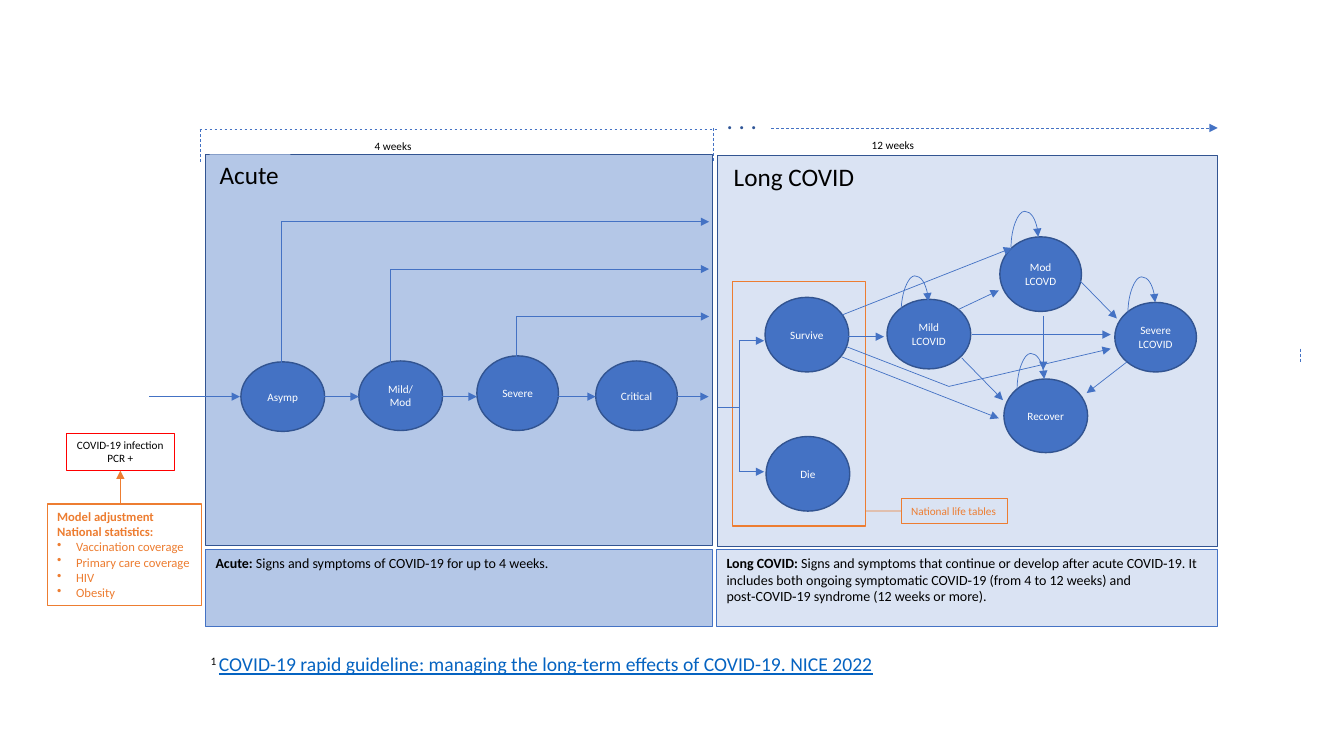
"""Build the acute and long COVID state-transition model slide."""
from lxml import etree
from pptx import Presentation
from pptx.dml.color import RGBColor
from pptx.enum import dml, shapes, text
from pptx.oxml import ns
from pptx.util import Pt

HUES = {"acute": "B4C7E7", "long": "DAE3F3", "blue": "4472C4", "edge": "325491",
        "dots": "2F5597", "red": "FF0000", "orange": "ED7D31", "link": "0563C1",
        "black": "000000", "white": "FFFFFF"}

PANELS = [((146.9, 110.2, 362.2, 279.4), "acute", "edge", 1),
          ((512.6, 110.9, 357.1, 279.4), "long", "edge", 1),
          ((523.4, 200.9, 95, 175), None, "orange", 1)]
TITLES = [("Acute", (149.8, 110.2, 57.6, 28.8), "acute"),
          ("Long COVID", (517, 111.6, 101.5, 28.8), "long")]
LABELS = [("4 weeks", (260.6, 95.8, 41, 17.3), 8, "black"),
          ("12 weeks", (615.6, 95, 45.4, 17.3), 8, "black"),
          (". . .", (511.9, 71.3, 36.7, 28.8), 18, "dots")]
NOTES = [("Acute: ", "Signs and symptoms of COVID‑19 for up to 4 weeks.",
          (146.9, 392.4, 362.2, 55.4), "acute"),
         ("Long COVID: ", "Signs and symptoms that continue or develop after acute "
          "COVID‑19. It includes both ongoing symptomatic COVID‑19 (from 4 to 12 "
          "weeks) and post‑COVID‑19 syndrome (12 weeks or more).",
          (511.9, 392.4, 357.8, 55.4), "long")]
HEADS = ["Model adjustment", "National statistics:"]
ITEMS = ["Vaccination coverage", "Primary care coverage", "HIV", "Obesity"]
SOURCE = ("1 ", "COVID-19 rapid guideline: managing the long-term effects of "
          "COVID-19. NICE 2022")

STATES = [(["Asymp"], 172.1, 258.5, 59.8, 49.7),
          (["Mild/", "Mod"], 256.3, 257.8, 59.8, 49.7),
          (["Severe"], 340.6, 254.2, 58.3, 53.3),
          (["Critical"], 425.5, 257.8, 58.3, 49.7),
          (["Survive"], 546.5, 212.4, 59.8, 53.3),
          (["Die"], 547.2, 311.8, 59.8, 53.3),
          (["Mild", "LCOVID"], 633.6, 213.8, 59.8, 49.7),
          (["Mod", "LCOVD"], 714.2, 169.2, 58.3, 53.3),
          (["Severe", "LCOVID"], 796.3, 216, 58.3, 49.7),
          (["Recover"], 717.1, 270.7, 59.8, 52.6)]
EXITS = [(201, 260, 158.4), (278.6, 260, 192.2), (368.6, 256, 226.1)]
CHAIN = [(106.6, 171.4), (226.1, 256.3), (311, 340.6), (395.3, 425.5), (483.8, 506.2)]
CHAIN_Y, EXIT_X = 283.3, 506.5
FORK_X, FORK_YS = 527.8, (243.4, 337)
ARROWS = [(601.9, 240.5, 631.4, 240.5), (601.2, 254.9, 713.5, 298.8),
          (600.5, 225.4, 722.9, 177.1), (694.1, 239, 793.4, 239),
          (805, 258.5, 776.2, 280.8), (677.5, 276.1, 793.4, 249.1),
          (686.9, 255.6, 716.4, 285.8), (684.7, 221, 713.5, 207.4),
          (771.8, 200.9, 797.8, 227.5), (745.2, 225.4, 745.2, 264.2)]
PLAIN = [(604.8, 247.7, 677.5, 275.9), (512.6, 290.9, FORK_X, 290.9),
         (FORK_X, FORK_YS[0], FORK_X, FORK_YS[1])]
DASHED = [(928.8, 249.1, 928.8, 259.2), (143.3, 92.2, 143.3, 115.9),
          (509.8, 91.4, 509.8, 115.2), (142.6, 92.2, 511.9, 92.2)]
LOOPS = [(643.7, 222.5), (722.2, 176.4), (805.7, 223.2), (726.5, 277.9)]
LOOP_W, LOOP_H, LOOP_ADJ = 7.2, 19.4, 353300

deck = Presentation()
deck.slide_width, deck.slide_height = Pt(960), Pt(540)
slide = deck.slides.add_slide(deck.slide_layouts[6])


def rgb(hue):
    return RGBColor.from_string(HUES[hue])


def style(font, size, hue, bold=None):
    font.name, font.size, font.bold = "Calibri", Pt(size), bold
    font.color.rgb = rgb(hue)


def box(spot, fill=None, edge=None, width=0.75, kind=shapes.MSO_SHAPE.RECTANGLE):
    shape = slide.shapes.add_shape(kind, *map(Pt, spot))
    shape.shadow.inherit = False
    if fill:
        shape.fill.solid()
        shape.fill.fore_color.rgb = rgb(fill)
    else:
        shape.fill.background()
    if edge:
        shape.line.color.rgb = rgb(edge)
        shape.line.width = Pt(width)
    else:
        shape.line.fill.background()
    return shape


def write(shape, lines, size, hue, mid=False, wrap=True, anchor="TOP"):
    frame = shape.text_frame
    frame.word_wrap = wrap
    frame.vertical_anchor = text.MSO_ANCHOR[anchor]
    for i, line in enumerate(lines):
        para = frame.paragraphs[0] if i == 0 else frame.add_paragraph()
        para.text = line
        para.alignment = text.PP_ALIGN.CENTER if mid else text.PP_ALIGN.LEFT
        style(para.font, size, hue)
    return frame.paragraphs


def wire(ends, head=True, dash=False, hue="blue", kind="STRAIGHT"):
    link = slide.shapes.add_connector(shapes.MSO_CONNECTOR[kind], *map(Pt, ends))
    link.line.color.rgb = rgb(hue)
    link.line.width = Pt(0.5)
    if dash:
        link.line.dash_style = dml.MSO_LINE.DASH
    props = link.element.spPr
    if head:
        etree.SubElement(props.find(ns.qn("a:ln")), ns.qn("a:tailEnd"), type="triangle")
    etree.SubElement(props, ns.qn("a:effectLst"))
    return link


def loop(x, y):
    left, top = x + (LOOP_H - LOOP_W) / 2, y - (LOOP_W + LOOP_H) / 2
    link = wire((left + LOOP_W, top + LOOP_H, left, top), kind="CURVE")
    props = link.element.spPr
    props.find(ns.qn("a:xfrm")).set("rot", "5400000")
    guides = props.find(ns.qn("a:prstGeom")).find(ns.qn("a:avLst"))
    etree.SubElement(guides, ns.qn("a:gd"), name="adj1", fmla=f"val {LOOP_ADJ}")


for spot, fill, edge, width in PANELS:
    box(spot, fill, edge, width)
for title, spot, fill in TITLES:
    write(box(spot, fill), [title], 18, "black", wrap=False)
for label, spot, size, hue in LABELS:
    write(slide.shapes.add_textbox(*map(Pt, spot)), [label], size, hue, wrap=False)
for term, body, spot, fill in NOTES:
    para = write(box(spot, fill, "blue"), [""], 10, "black")[0]
    for part, bold in ((term, True), (body, False)):
        run = para.add_run()
        run.text, run.font.bold = part, bold

for lines, *spot in STATES:
    state = box(spot, "blue", "edge", 1, shapes.MSO_SHAPE.OVAL)
    write(state, lines, 8, "white", mid=True, anchor="MIDDLE")

for x, low, high in EXITS:
    wire((x, low, x, high), head=False)
    wire((x, high, EXIT_X, high))
for start, end in CHAIN:
    wire((start, CHAIN_Y, end, CHAIN_Y))
for y in FORK_YS:
    wire((FORK_X, y, 545.8, y))
for ends in ARROWS:
    wire(ends)
for ends in PLAIN:
    wire(ends, head=False)
for ends in DASHED:
    wire(ends, head=False, dash=True)
wire((550.8, 91.4, 869.8, 91.4), dash=True)
for spot in LOOPS:
    loop(*spot)

case = box((47.5, 309.6, 77, 26.6), None, "red")
write(case, ["COVID-19 infection", "PCR +"], 8, "black", mid=True)
stats = box((33.8, 360, 110.2, 72.7), None, "orange")
for i, para in enumerate(write(stats, HEADS + ITEMS, 9, "orange")):
    para.font.bold = i < len(HEADS)
    if i >= len(HEADS):
        props = para._p.get_or_add_pPr()
        props.set("marL", str(Pt(13.5)))
        props.set("indent", str(-Pt(13.5)))
        mark = etree.Element(ns.qn("a:buChar"), char="•")
        props.insert(0, mark)
wire((86, 360, 86, 336.2), hue="orange").end_connect(case, 2)
table = box((643.7, 356.4, 76.3, 17.3), None, "orange")
write(table, ["National life tables"], 8, "orange", wrap=False)
wire((618.5, 365, 643.7, 365), head=False, hue="orange").end_connect(table, 1)

cite = slide.shapes.add_textbox(*map(Pt, (143.3, 462.2, 496.1, 24.5)))
para = write(cite, [""], 14, "black")[0]
mark, link = para.add_run(), para.add_run()
mark.text, link.text = SOURCE
mark.font._element.set("baseline", "30000")
link.font.color.rgb = rgb("link")
link.font.underline = True

deck.save("out.pptx")
